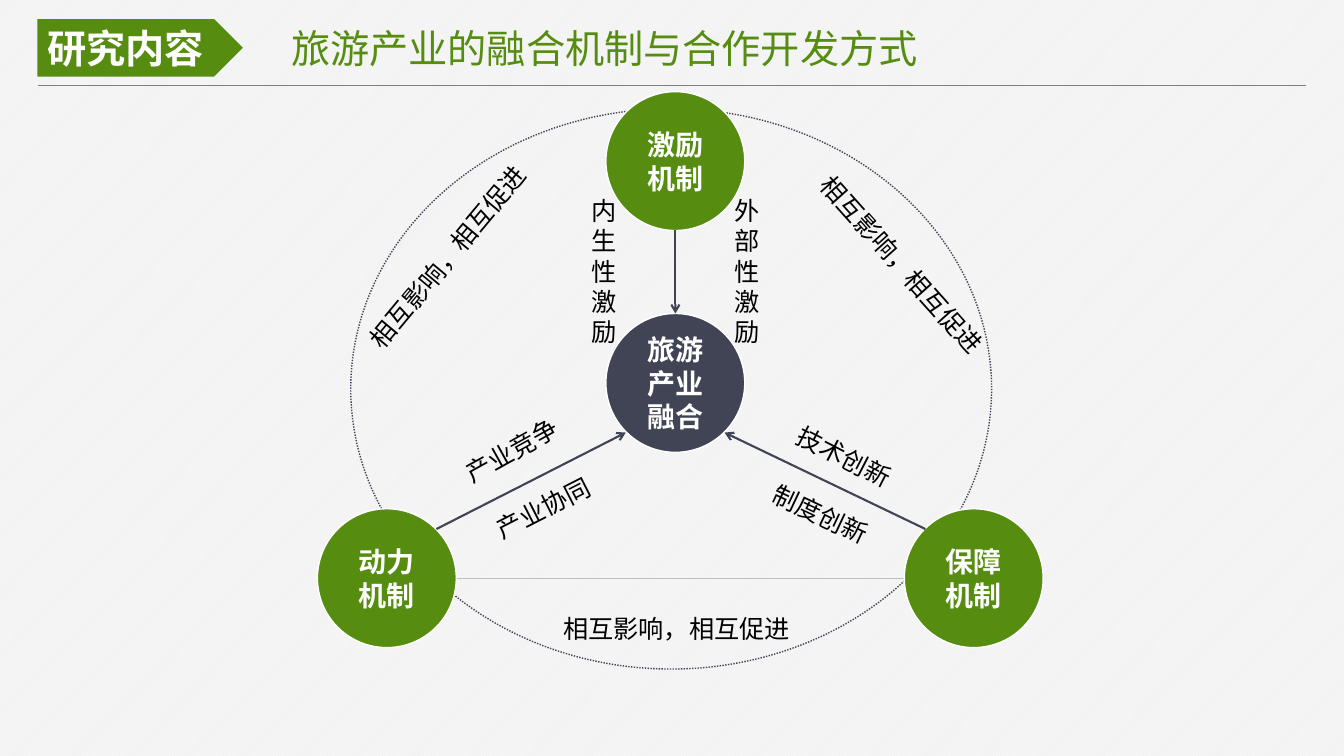
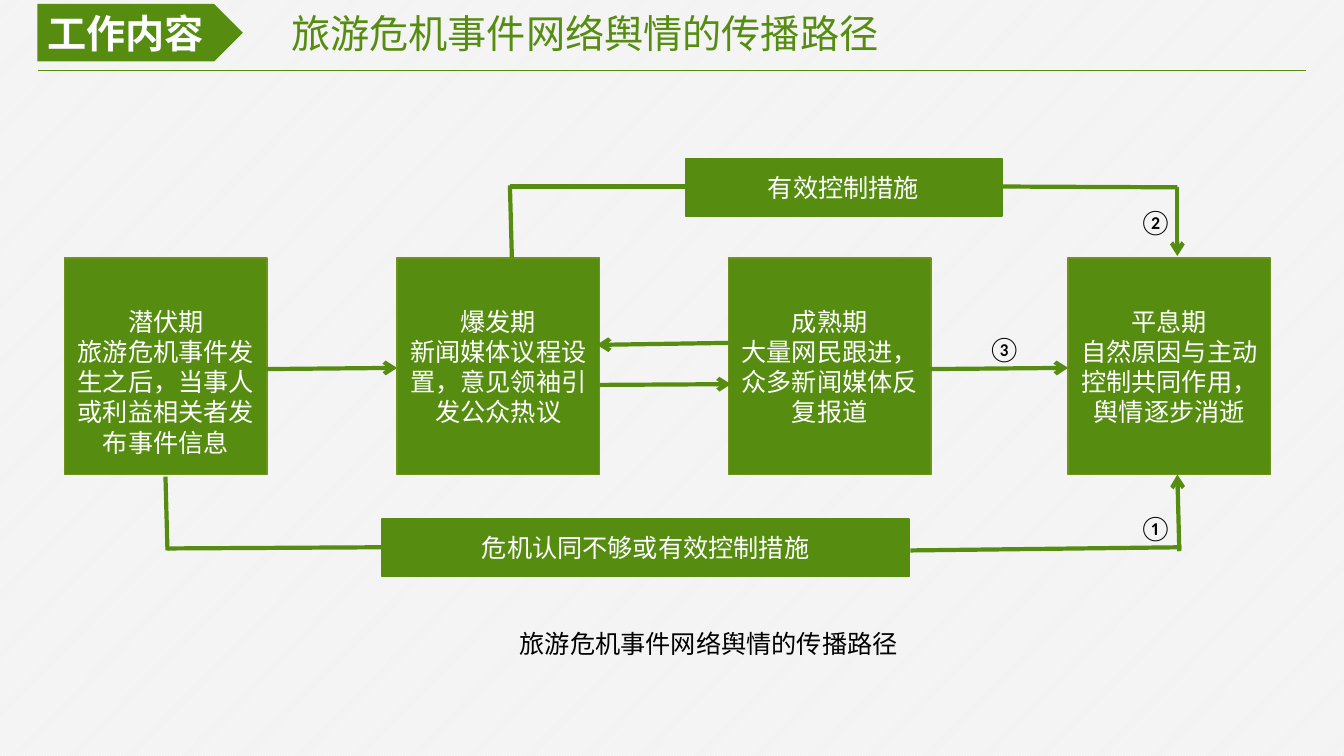
import pptx
import pptx.util
import pptx.dml.color
import pptx.enum.dml
import pptx.enum.shapes
import pptx.enum.text
import pptx.oxml
import pptx.oxml.ns

Cm, Pt = pptx.util.Cm, pptx.util.Pt
KIND = pptx.enum.shapes.MSO_SHAPE
ALIGN = pptx.enum.text.PP_ALIGN
ANCHOR = pptx.enum.text.MSO_ANCHOR
HUES = {"green": "568D11", "olive": "70931A", "slate": "414455",
        "grey": "7F7F7F", "pale": "BFBFBF", "paper": "F2F2F2",
        "white": "FFFFFF", "black": "000000"}
HAN = "Noto Sans CJK SC"


def hue(name):
    return pptx.dml.color.RGBColor.from_string(HUES[name])


class Deck:
    """Hold the shared style and draw on the current slide."""

    def __init__(self):
        self.file = pptx.Presentation()
        self.file.slide_width = Cm(33.87)
        self.file.slide_height = Cm(19.05)
        self.font = HAN

    def page(self, tag, title, top, rule, font):
        self.font = HAN
        self.slide = self.file.slides.add_slide(self.file.slide_layouts[6])
        fill = self.slide.background.fill
        fill.patterned()
        fill.pattern = pptx.enum.dml.MSO_PATTERN.LIGHT_UPWARD_DIAGONAL
        fill.fore_color.rgb = hue("white")
        fill.back_color.rgb = hue("paper")
        self.label(title, 7.09, top, 19.84, 1.45, size=28, tint="green")
        self.shape(KIND.PENTAGON, 0.94, top, 5.18, 1.45, "green", None,
                   [tag], size=28, bold=True, align=ALIGN.LEFT)
        self.line((0.97, top + 1.67), (32.92, top + 1.67), rule, 1)
        self.font = font

    def words(self, frame, lines, size, tint, bold, align):
        frame.word_wrap = True
        for i, text in enumerate(lines):
            para = frame.add_paragraph() if i else frame.paragraphs[0]
            para.alignment = align
            run = para.add_run()
            run.text = text
            font = run.font
            font.size, font.bold, font.name = Pt(size), bold, self.font
            font.color.rgb = hue(tint)
            east = pptx.oxml.parse_xml(
                f'<a:ea {pptx.oxml.ns.nsdecls("a")} typeface="{HAN}"/>')
            run._r.get_or_add_rPr().append(east)

    def label(self, text, x, y, w, h=1.02, turn=0, size=18, tint="black"):
        box = self.slide.shapes.add_textbox(Cm(x), Cm(y), Cm(w), Cm(h))
        box.rotation = turn
        self.words(box.text_frame, [text], size, tint, False, ALIGN.LEFT)

    def shape(self, kind, x, y, w, h, fill, edge, lines=(), size=18,
              bold=False, align=ALIGN.CENTER):
        item = self.slide.shapes.add_shape(kind, Cm(x), Cm(y), Cm(w), Cm(h))
        item.shadow.inherit = False
        if fill:
            item.fill.solid()
            item.fill.fore_color.rgb = hue(fill)
        else:
            item.fill.background()
        if edge:
            item.line.color.rgb = hue(edge)
            item.line.width = Pt(1)
        else:
            item.line.fill.background()
        item.text_frame.vertical_anchor = ANCHOR.MIDDLE
        self.words(item.text_frame, lines, size, "white", bold, align)
        return item

    def disc(self, text, x, y, fill="green", wide=3.5):
        self.shape(KIND.OVAL, x - wide / 2, y - wide / 2, wide, wide,
                   fill, "white", [text], size=20, bold=True)

    def line(self, start, end, tint, width, head=False):
        link = self.slide.shapes.add_connector(
            pptx.enum.shapes.MSO_CONNECTOR.STRAIGHT,
            *(Cm(v) for v in (*start, *end)))
        link.line.color.rgb = hue(tint)
        link.line.width = Pt(width)
        space = pptx.oxml.ns.nsdecls("a")
        if head:
            link.get_or_add_ln().append(
                pptx.oxml.parse_xml(f'<a:tailEnd {space} type="arrow"/>'))
        link._element.spPr.append(
            pptx.oxml.parse_xml(f"<a:effectLst {space}/>"))


def forces(deck):
    deck.page("研究内容", "旅游产业的融合机制与合作开发方式", 0.48, "grey", HAN)
    ring = deck.shape(KIND.OVAL, 8.84, 2.74, 16.15, 14.12, None, "slate")
    ring.line.dash_style = pptx.enum.dml.MSO_LINE.ROUND_DOT
    mid, low = 17.02, 14.57
    deck.line((11.5, low), (22.79, low), "pale", 0.5)
    deck.disc("激励机制", mid, 4.06)
    deck.disc("动力机制", 9.75, low)
    deck.disc("保障机制", 24.54, low)
    deck.disc("旅游产业融合", mid, 9.65, "slate")
    for start, end in (((mid, 5.8), (mid, 7.9)),
                       ((11, 13.33), (15.77, 10.9)),
                       ((23.32, 13.33), (18.26, 10.9))):
        deck.line(start, end, "slate", 1.5, True)
    for text, x, y, w, turn in (("产业竞争", 11.35, 10.74, 3.45, -29),
                                ("产业协同", 12.14, 12.17, 3.58, -27),
                                ("技术创新", 19.74, 11.05, 3.28, 27.3),
                                ("制度创新", 19.13, 12.6, 3.76, 25.3)):
        deck.label(text, x, y, w, turn=turn)
    for text, x in (("内生性激励", 14.66), ("外部性激励", 18.26)):
        deck.label(text, x, 4.8, 1.12, 4.09)
    for x, y, turn in ((8.1, 5.79, -50.2), (19.55, 6.32, 48.2),
                       (13.94, 15.32, 0)):
        deck.label("相互影响，相互促进", x, y, 6.65, turn=turn)


def spread(deck):
    title = "旅游危机事件网络舆情的传播路径"
    deck.page("工作内容", title, 0.1, "green", "Calibri")
    stages = (
        (1.63, "潜伏期", "旅游危机事件发生之后，当事人或利益相关者发布事件信息", 0.76),
        (10.01, "爆发期", "新闻媒体议程设置，意见领袖引发公众热议", 0),
        (18.36, "成熟期", "大量网民跟进，众多新闻媒体反复报道", 0),
        (26.92, "平息期", "自然原因与主动控制共同作用，舆情逐步消逝", 0))
    for x, name, text, drop in stages:
        box = deck.shape(KIND.RECTANGLE, x, 6.5, 5.1, 5.46,
                         "green", "olive", [name, text])
        box.text_frame.margin_top = Cm(0.13 + drop)
    for text, x, y, w in (("危机认同不够或有效控制措施", 9.63, 13.08, 13.28),
                          ("有效控制措施", 17.27, 3.99, 7.98)):
        deck.shape(KIND.RECTANGLE, x, y, w, 1.45, "green", "green", [text])
    for start, end in (((4.17, 12.01), (4.22, 13.87)),
                       ((4.22, 13.82), (9.63, 13.79)),
                       ((22.94, 13.87), (29.77, 13.79)),
                       ((12.85, 4.67), (12.9, 6.5)),
                       ((12.85, 4.7), (17.27, 4.7)),
                       ((25.25, 4.7), (29.67, 4.72))):
        deck.line(start, end, "green", 3)
    for start, end in (((6.71, 9.3), (10.01, 9.27)),
                       ((18.36, 8.64), (15.04, 8.69)),
                       ((15.11, 9.7), (18.42, 9.68)),
                       ((23.44, 9.3), (26.92, 9.27)),
                       ((29.72, 13.89), (29.67, 11.96)),
                       ((29.67, 4.72), (29.67, 6.45))):
        deck.line(start, end, "green", 3, True)
    for text, x, y in (("①", 28.45, 12.78), ("②", 28.45, 5.08),
                       ("③", 24.64, 8.28)):
        deck.label(text, x, y, 1.2)
    deck.label(title, 12.85, 15.7, 10.54)


def main():
    deck = Deck()
    forces(deck)
    spread(deck)
    deck.file.save("out.pptx")


if __name__ == "__main__":
    main()
